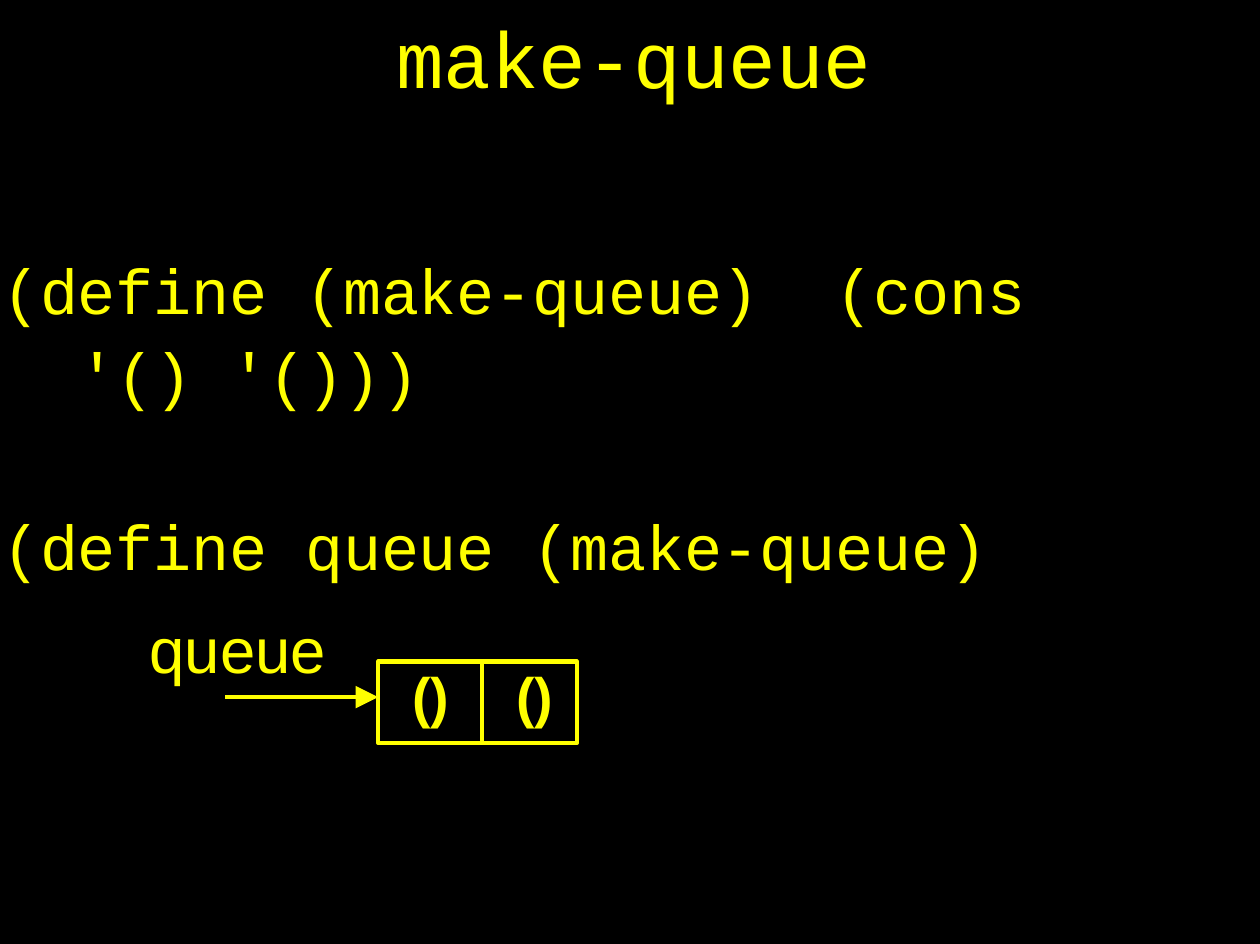
import dataclasses

import pptx
import pptx.dml.color
import pptx.enum.shapes
import pptx.enum.text
import pptx.oxml.ns
import pptx.util
from lxml import etree
from pptx.util import Inches


@dataclasses.dataclass(frozen=True)
class Theme:
    ink: str = "FFFF00"
    ground: str = "000000"
    code: str = "Courier New"
    label: str = "Arial"
    title_size: float = 50
    body_size: float = 40
    cell_size: float = 35
    line: float = 2.83


THEME = Theme()


def rgb(value):
    return pptx.dml.color.RGBColor.from_string(value)


def add_element(parent, tag, **attributes):
    return etree.SubElement(parent, pptx.oxml.ns.qn(tag), attributes)


def write(p, text, size=THEME.body_size, font=THEME.code, bold=False,
          left=0.01, right=0, hanging=0, before=0, spacing=1.0, tracking=-10):
    p.alignment = pptx.enum.text.PP_ALIGN.LEFT
    p.space_before = pptx.util.Pt(before)
    p.line_spacing = spacing
    pPr = p._p.get_or_add_pPr()
    pPr.set("marL", str(Inches(left)))
    pPr.set("marR", str(Inches(right)))
    pPr.set("indent", str(Inches(-hanging)))
    add_element(pPr, "a:buNone")
    r = p.add_run()
    r.text = text
    r.font.size = pptx.util.Pt(size)
    r.font.name = font
    r.font.bold = bold
    r.font.color.rgb = rgb(THEME.ink)
    r._r.get_or_add_rPr().set("spc", str(tracking))


def prepare_frame(tf, top=0):
    tf.margin_left = tf.margin_right = tf.margin_bottom = 0
    tf.margin_top = Inches(top)
    tf.word_wrap = True
    tf.vertical_anchor = pptx.enum.text.MSO_ANCHOR.TOP
    tf.auto_size = pptx.enum.text.MSO_AUTO_SIZE.NONE


def fill_placeholder(sp, x, y, w, h, paragraphs):
    sp.left, sp.top, sp.width, sp.height = map(Inches, (x, y, w, h))
    tf = sp.text_frame
    prepare_frame(tf, top=0.01)
    for i, (text, style) in enumerate(paragraphs):
        p = tf.add_paragraph() if i else tf.paragraphs[0]
        write(p, text, **style)


def add_cell(s, x, y, w, h, text):
    sp = s.shapes.add_shape(pptx.enum.shapes.MSO_SHAPE.RECTANGLE,
                            *map(Inches, (x, y, w, h)))
    sp.shadow.inherit = False
    sp.fill.solid()
    sp.fill.fore_color.rgb = rgb(THEME.ground)
    sp.line.color.rgb = rgb(THEME.ink)
    sp.line.width = pptx.util.Pt(THEME.line)
    prepare_frame(sp.text_frame)
    write(sp.text_frame.paragraphs[0], text, size=THEME.cell_size,
          font=THEME.label, bold=True, left=0.3, before=0.3)


def add_arrow(s, x1, y1, x2, y2):
    sp = s.shapes.add_connector(pptx.enum.shapes.MSO_CONNECTOR.STRAIGHT,
                                *map(Inches, (x1, y1, x2, y2)))
    sp.line.color.rgb = rgb(THEME.ink)
    sp.line.width = pptx.util.Pt(THEME.line)
    add_element(sp.line._get_or_add_ln(), "a:tailEnd",
                type="triangle", w="lg", len="lg")
    add_element(sp._element.spPr, "a:effectLst")


def main():
    prs = pptx.Presentation()
    prs.slide_width, prs.slide_height = Inches(11.03), Inches(8.26)
    s = prs.slides.add_slide(prs.slide_layouts[1])
    s.background.fill.solid()
    s.background.fill.fore_color.rgb = rgb(THEME.ground)

    fill_placeholder(s.shapes.title, 3.46, 0.07, 4.19, 0.86, [
        ("make-queue", dict(size=THEME.title_size, before=1)),
    ])
    fill_placeholder(s.placeholders[1], 0.01, 2.12, 10.34, 3.93, [
        ("(define (make-queue)  (cons '() '()))",
         dict(left=0.68, right=0.5, hanging=0.67, before=1, spacing=1.1)),
        ("(define queue (make-queue)", dict(before=60.5)),
        ("queue", dict(font=THEME.label, left=1.3, before=17.2, tracking=0)),
    ])

    pair_left, pair_top, cell_height = 3.31, 5.79, 0.71
    add_arrow(s, 1.97, 6.1, pair_left, 6.1)
    x = pair_left
    for width in (0.91, 0.83):
        add_cell(s, x, pair_top, width, cell_height, "()")
        x += width
    prs.save("out.pptx")


if __name__ == "__main__":
    main()
